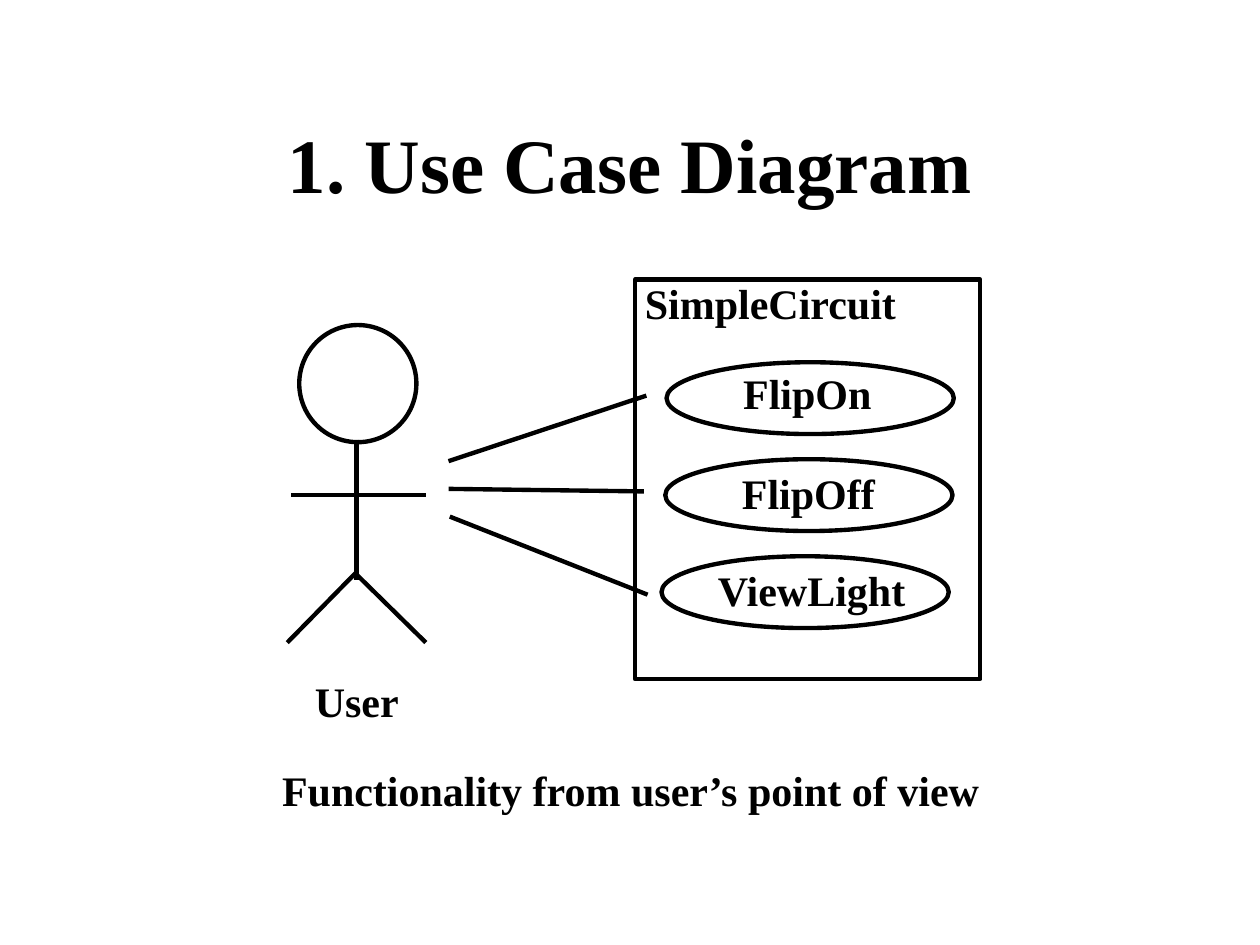
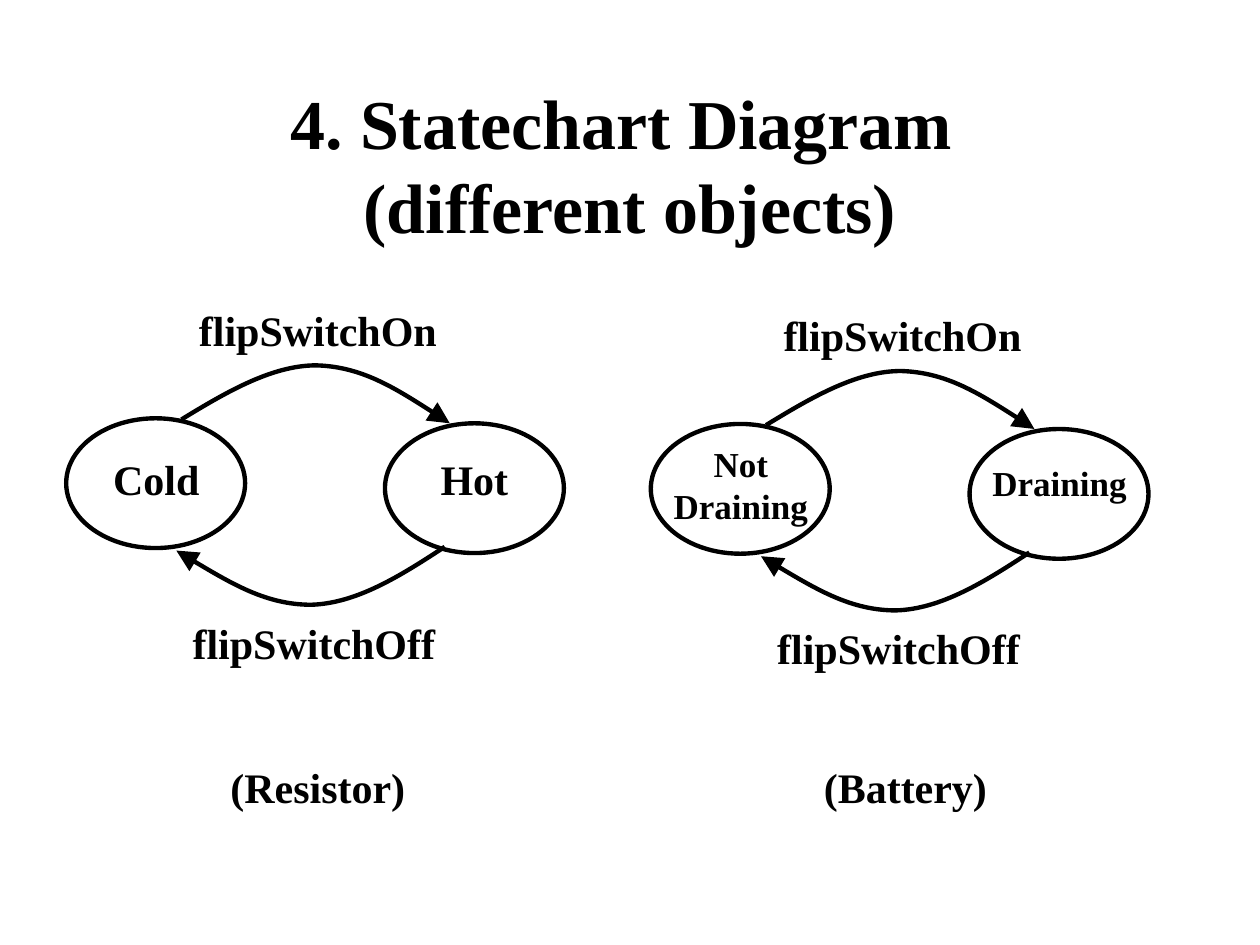
from pptx import Presentation, util as u
from pptx.dml.color import RGBColor
from pptx.enum import shapes, text
from pptx.oxml import ns, xmlchemy

FONT, INK = "Times New Roman", "000000"
LEFT, CENTER = text.PP_ALIGN.LEFT, text.PP_ALIGN.CENTER
STRAIGHT = shapes.MSO_CONNECTOR.STRAIGHT
OVAL, BOX = shapes.MSO_SHAPE.OVAL, shapes.MSO_SHAPE.RECTANGLE

presentation = Presentation()
presentation.slide_width, presentation.slide_height = u.Inches(10), u.Inches(7.5)
# The grid has 100 columns and 75 rows of square cells
CELL = presentation.slide_width // 100


def write(frame, words, size, align=LEFT):
    """Fill a text frame with bold text, one paragraph per line."""
    frame.text = words
    for paragraph in frame.paragraphs:
        paragraph.alignment = align
        font = paragraph.font
        font.name, font.size, font.bold = FONT, u.Pt(size), True
        font.color.rgb = RGBColor.from_string(INK)


def draw(shape, color=INK, arrow=False):
    """Give a shape or connector a plain line, without fill or shadow."""
    if hasattr(shape, "fill"):
        shape.fill.background()
    shape.line.color.rgb = RGBColor.from_string(color)
    shape.line.width = u.Pt(2.5)
    properties = shape._element.spPr
    if arrow:
        tail = xmlchemy.OxmlElement("a:tailEnd")
        for name, value in [("type", "triangle"), ("w", "lg"), ("len", "lg")]:
            tail.set(name, value)
        properties.find(ns.qn("a:ln")).append(tail)
    properties.append(xmlchemy.OxmlElement("a:effectLst"))


# Slides and titles
slides = []
for title, size in [("1. Use Case Diagram", 44),
                    ("4. Statechart Diagram \v(different objects)", 40)]:
    slide = presentation.slides.add_slide(presentation.slide_layouts[5])
    placeholder = slide.shapes.title
    placeholder.left, placeholder.top, placeholder.width, placeholder.height = (
        int(cells * CELL) for cells in (7.5, 6.7, 85, 12.5))
    frame = placeholder.text_frame
    write(frame, title, size, CENTER)
    frame.auto_size = text.MSO_AUTO_SIZE.NONE
    frame.vertical_anchor = text.MSO_ANCHOR.MIDDLE
    slides.append(slide)
use_case, statechart = slides

# Labels: slide, words, left, top, width, height, size, alignment
labels = [
    (use_case, "SimpleCircuit", 50.2, 21.5, 22, 5, 24, LEFT),
    (use_case, "FlipOn", 58, 28.65, 12.2, 5, 24, LEFT),
    (use_case, "FlipOff", 57.9, 36.6, 12.5, 5, 24, LEFT),
    (use_case, "ViewLight", 56, 44.35, 17, 5, 24, LEFT),
    (use_case, "User", 24, 53.1, 8.6, 5, 24, LEFT),
    (use_case, "Functionality from user’s point of view", 21.4, 60.2, 57.4, 5, 24, LEFT),
    (statechart, "Cold", 8, 35.5, 8.8, 5, 24, CENTER),
    (statechart, "Hot", 34, 35.5, 7.3, 5, 24, CENTER),
    (statechart, "Not\nDraining", 52.5, 34.6, 12.6, 7.7, 20, CENTER),
    (statechart, "Draining", 77.8, 36.1, 12.6, 4.4, 20, CENTER),
    (statechart, "(Resistor)", 17.3, 59.95, 15.9, 5, 24, LEFT),
    (statechart, "(Battery)", 64.4, 59.95, 14.9, 5, 24, LEFT),
]

# Use case diagram: system border and its use cases
outlines = [(use_case.shapes, BOX, 50.4, 22.2, 27.4, 31.7)]
for row, left in enumerate((52.9, 52.8, 52.5)):
    outlines.append((use_case.shapes, OVAL, left, 28.75 + 7.7 * row, 22.8, 5.7))

# Actor: head, body, arms, legs; then the links to the use cases
actor = use_case.shapes.add_group_shape()
outlines.append((actor.shapes, OVAL, 23.75, 25.8, 9.3, 9.3))
lines = [
    (actor.shapes, 28.3, 34.9, 28.3, 46),
    (actor.shapes, 23.1, 39.3, 33.8, 39.3),
    (actor.shapes, 28.3, 45.4, 22.8, 51),
    (actor.shapes, 28.3, 45.6, 33.8, 51),
    (use_case.shapes, 35.6, 36.6, 51.3, 31.4),
    (use_case.shapes, 35.6, 38.8, 51.1, 39),
    (use_case.shapes, 35.7, 41, 51.4, 47.2),
]
for target, *ends in lines:
    draw(target.add_connector(STRAIGHT, *(int(end * CELL) for end in ends)))

# Statechart: two state machines of the same form, each with two transitions
switch_on = [(14.4, 33.3), (18, 31.1), (21.6, 29), (25.1, 29),
             (28.7, 29.1), (32.2, 31.3), (35.7, 33.6)]
switch_off = [(35.3, 43.4), (31.8, 45.7), (28.3, 47.9), (24.7, 48),
              (21.2, 48), (17.6, 45.9), (14, 43.7)]
for across, down in [(0, 0), (46.4, 0.45)]:
    for left, top in [(5.25, 33.2), (30.55, 33.6)]:
        outlines.append((statechart.shapes, OVAL, left + across, top + down, 14.2, 10.3))
    for words, left, top, width in [("flipSwitchOn", 14.8, 23.65, 20.9),
                                    ("flipSwitchOff", 14.3, 48.5, 21.2)]:
        labels.append((statechart, words, left + across, top + down, width, 5, 24, LEFT))
    for curve in (switch_on, switch_off):
        points = [(int((x + across) * CELL), int((y + down) * CELL)) for x, y in curve]
        builder = statechart.shapes.build_freeform(*points[0])
        builder.add_line_segments(points[1:], close=False)
        transition = builder.convert_to_shape()
        draw(transition, arrow=True)
        # Join each three segments into one Bézier curve
        outline = next(transition._element.iter(ns.qn("a:path")))
        segments = outline.findall(ns.qn("a:lnTo"))
        for start in range(0, len(segments), 3):
            bezier = xmlchemy.OxmlElement("a:cubicBezTo")
            for segment in segments[start:start + 3]:
                bezier.append(segment[0])
                outline.remove(segment)
            outline.append(bezier)

# Outlines and labels of both slides
for target, kind, *place in outlines:
    draw(target.add_shape(kind, *(int(cells * CELL) for cells in place)))

for slide, words, left, top, width, height, size, align in labels:
    place = (int(cells * CELL) for cells in (left, top, width, height))
    frame = slide.shapes.add_textbox(*place).text_frame
    write(frame, words, size, align)
    frame.word_wrap = False
    frame.auto_size = text.MSO_AUTO_SIZE.SHAPE_TO_FIT_TEXT
    # Free side margins keep each label on its line
    frame.margin_left = 0 if align == CENTER else CELL
    frame.margin_right = 0

presentation.save("out.pptx")
